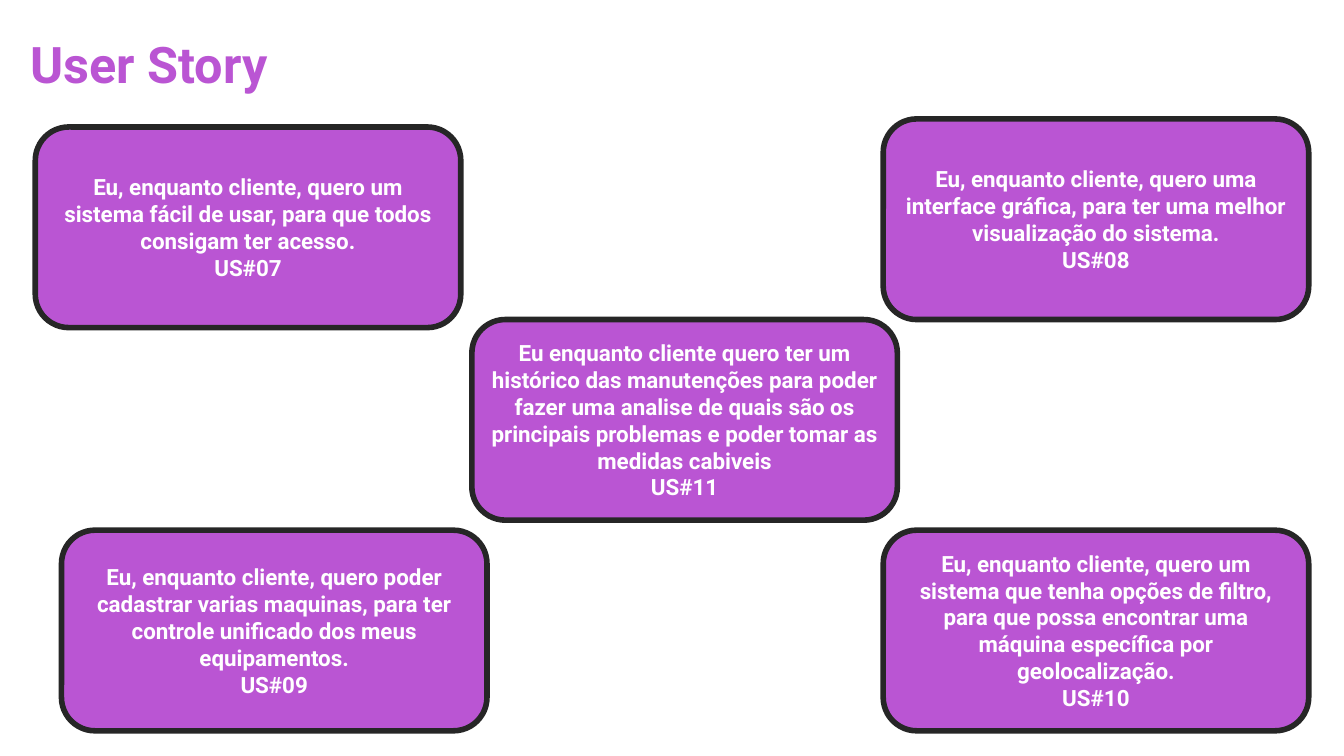
from pptx import Presentation
from pptx.dml.color import RGBColor
from pptx.enum.shapes import MSO_SHAPE
from pptx.enum.text import MSO_ANCHOR, PP_ALIGN
from pptx.util import Pt

ROUNDED = MSO_SHAPE.ROUNDED_RECTANGLE
TOP, MIDDLE = MSO_ANCHOR.TOP, MSO_ANCHOR.MIDDLE
LEFT, CENTER = PP_ALIGN.LEFT, PP_ALIGN.CENTER

ORCHID = RGBColor(0xBA, 0x55, 0xD3)
CHARCOAL = RGBColor(0x26, 0x26, 0x26)
WHITE = RGBColor(0xFF, 0xFF, 0xFF)
FONT = "Roboto"

EMU_PER_PX = 9144  # 100 px to the inch
TITLE_ONLY = 5
CARD_WIDTH, CARD_HEIGHT = 422, 199

# Left, top, story, code
STORIES = [
    (35, 126, "Eu, enquanto cliente, quero um sistema fácil de usar, "
     "para que todos consigam ter acesso.", "US#07"),
    (876, 118, "Eu, enquanto cliente, quero uma interface gráfica, "
     "para ter uma melhor visualização do sistema.", "US#08"),
    (61, 526, "Eu, enquanto cliente, quero poder cadastrar varias maquinas, "
     "para ter controle unificado dos meus equipamentos.", "US#09"),
    (876, 526, "Eu, enquanto cliente, quero um sistema que tenha opções de filtro, "
     "para que possa encontrar uma máquina específica por geolocalização.", "US#10"),
    (468, 317, "Eu enquanto cliente quero ter um histórico das manutenções "
     "para poder fazer uma analise de quais são os principais problemas "
     "e poder tomar as medidas cabiveis", "US#11"),
]


def px(length):
    return length * EMU_PER_PX


def write_text(shape, lines, size, color, align, anchor):
    frame = shape.text_frame
    frame.word_wrap = True
    frame.vertical_anchor = anchor
    frame.text = "\n".join(lines)
    for para in frame.paragraphs:
        para.alignment = align
        para.font.name = FONT
        para.font.size = Pt(size)
        para.font.bold = True
        para.font.color.rgb = color


def set_title(page, text):
    title = page.shapes.title
    title.left, title.top = px(20), px(28)
    title.width, title.height = px(503), px(71)
    write_text(title, [text], 36, ORCHID, LEFT, TOP)


def add_story_card(page, left, top, story, code):
    card = page.shapes.add_shape(
        ROUNDED, px(left), px(top), px(CARD_WIDTH), px(CARD_HEIGHT))
    card.shadow.inherit = False
    card.fill.solid()
    card.fill.fore_color.rgb = ORCHID
    card.line.color.rgb = CHARCOAL
    card.line.width = Pt(4)
    write_text(card, [story, code], 16, WHITE, CENTER, MIDDLE)


def main():
    deck = Presentation()
    deck.slide_width, deck.slide_height = px(1333), px(750)
    page = deck.slides.add_slide(deck.slide_layouts[TITLE_ONLY])

    # Heading
    set_title(page, "User Story")

    # Story cards
    for left, top, story, code in STORIES:
        add_story_card(page, left, top, story, code)

    deck.save("out.pptx")


if __name__ == "__main__":
    main()
